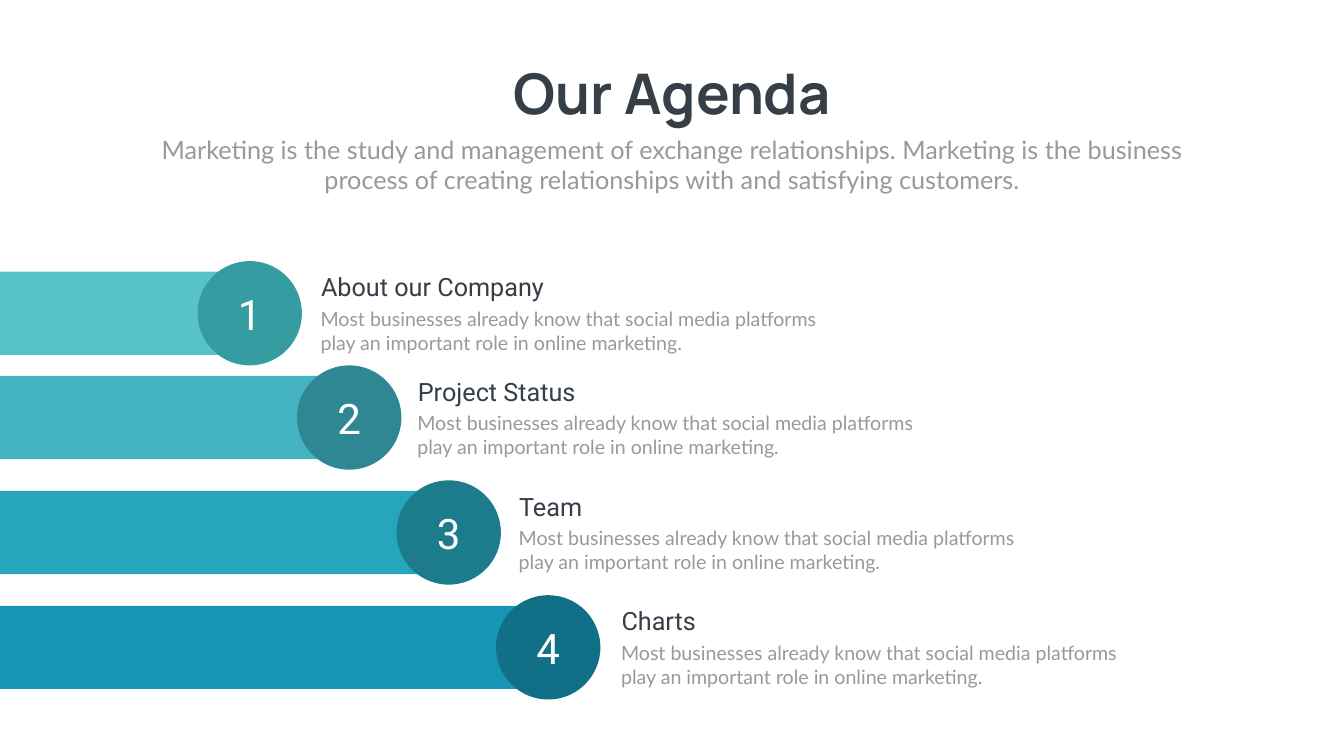
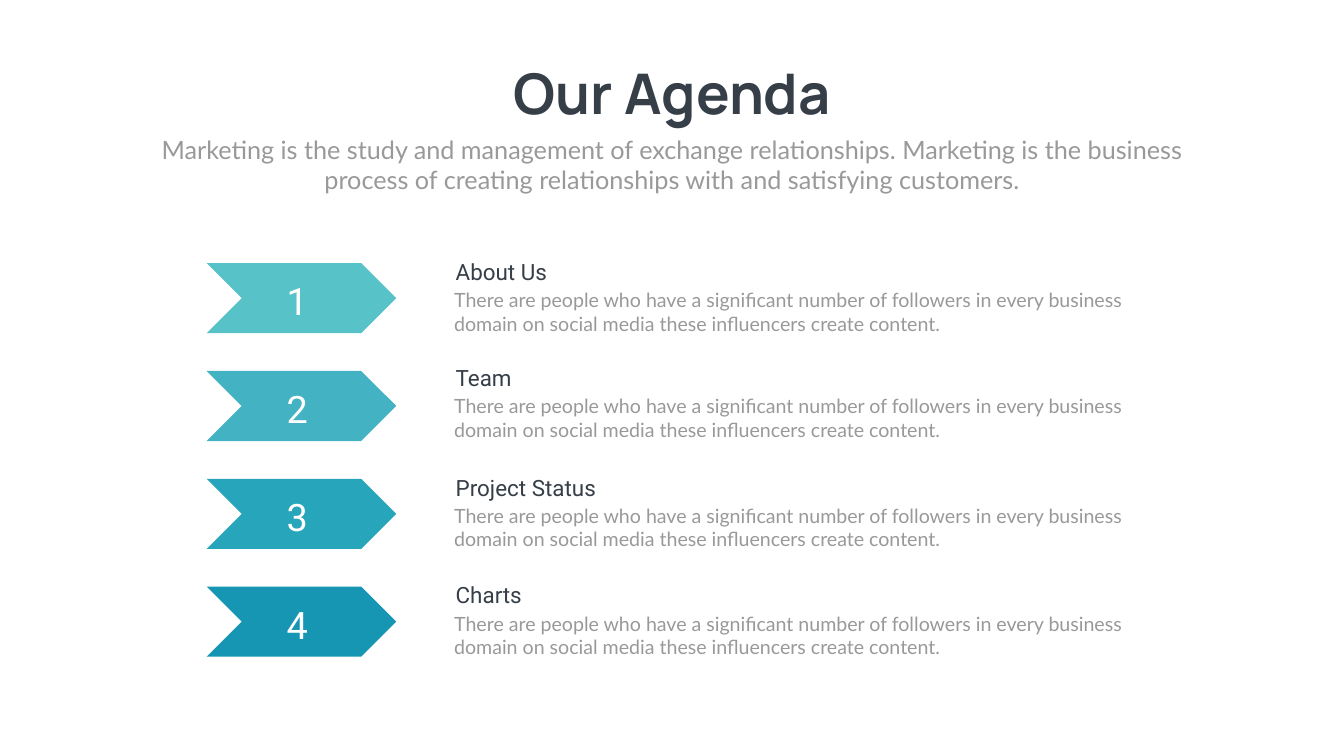
"""Build two agenda slides: stepped bars and a column of chevrons."""
from dataclasses import dataclass

from pptx import Presentation
from pptx.dml.color import RGBColor
from pptx.enum.shapes import MSO_SHAPE
from pptx.enum.text import MSO_ANCHOR, MSO_AUTO_SIZE, PP_ALIGN
from pptx.util import Pt

TITLE = "Our Agenda"
SUBTITLE = ("Marketing is the study and management of exchange relationships. "
            "Marketing is the business process of creating relationships "
            "with and satisfying customers.")

STEP_BODY = ("Most businesses already know that social media platforms "
             "play an important role in online marketing.")
STEPS = [
    {"heading": "About our Company", "top": 373, "text_left": 451.4, "width": 378},
    {"heading": "Project Status", "top": 522, "text_left": 589.7, "width": 257.8},
    {"heading": "Team", "top": 686.2, "text_left": 734.4, "width": 257.8},
    {"heading": "Charts", "top": 850.3, "text_left": 880.6, "width": 257.8},
]

CHEVRON_BODY = ("There are people who have a significant number of followers in "
                "every business domain on social media these influencers create content.")
CHEVRONS = [("About Us", 365), ("Team", 517), ("Project Status", 673.2), ("Charts", 827.3)]


@dataclass(frozen=True)
class Style:
    font: str
    size: float
    color: str
    bold: bool = False


@dataclass(frozen=True)
class Theme:
    title: Style = Style("Manrope", 80, "363E48", True)
    subtitle: Style = Style("Lato", 36, "999999")
    body: Style = Style("Lato", 28, "999999")
    step_heading: Style = Style("Roboto", 36, "363E48")
    step_number: Style = Style("Roboto", 60, "FFFFFF")
    chevron_heading: Style = Style("Roboto", 32, "363E48")
    chevron_number: Style = Style("Roboto", 54, "FFFFFF")
    bands: tuple = ("57C3C8", "43B2C2", "26A5BB", "1796B4")
    circles: tuple = ("359DA2", "308794", "1C7C8C", "117087")


THEME = Theme()


def write(frame, words, style, align):
    paragraph = frame.paragraphs[0]
    paragraph.text = words
    paragraph.alignment = align
    font = paragraph.font
    font.name, font.size, font.bold = style.font, Pt(style.size), style.bold
    font.color.rgb = RGBColor.from_string(style.color)


def add_text(slide, box, words, style, align=PP_ALIGN.LEFT, wrap=True):
    frame = slide.shapes.add_textbox(*map(Pt, box)).text_frame
    frame.word_wrap = wrap
    frame.auto_size = MSO_AUTO_SIZE.SHAPE_TO_FIT_TEXT
    write(frame, words, style, align)


def add_block(slide, kind, box, color):
    block = slide.shapes.add_shape(kind, *map(Pt, box))
    block.shadow.inherit = False
    block.fill.solid()
    block.fill.fore_color.rgb = RGBColor.from_string(color)
    block.line.fill.background()
    return block


def add_agenda_slide(deck):
    slide = deck.slides.add_slide(deck.slide_layouts[6])
    add_text(slide, (704.2, 80.6, 511.9, 104.4), TITLE, THEME.title, PP_ALIGN.CENTER, wrap=False)
    add_text(slide, (210.2, 187.9, 1499, 94.3), SUBTITLE, THEME.subtitle, PP_ALIGN.CENTER)
    return slide


def build_steps(deck):
    slide = add_agenda_slide(deck)
    diameter, bar_height = 149, 118.8
    for index, step in enumerate(STEPS):
        top, text_left = step["top"], step["text_left"]
        circle_left = 282.2 + 142.1 * index
        bar_top = top + (diameter - bar_height) / 2
        add_block(slide, MSO_SHAPE.RECTANGLE,
                  (0, bar_top, circle_left + 80.6, bar_height), THEME.bands[index])
        circle = add_block(slide, MSO_SHAPE.OVAL,
                           (circle_left, top, diameter, diameter), THEME.circles[index])
        circle.text_frame.vertical_anchor = MSO_ANCHOR.MIDDLE
        write(circle.text_frame, str(index + 1), THEME.step_number, PP_ALIGN.CENTER)
        add_text(slide, (text_left - 0.7, top + 62.2, 759.6, 74.9), STEP_BODY, THEME.body)
        add_text(slide, (text_left, top + 11.5, step["width"], 51.1),
                 step["heading"], THEME.step_heading)


def build_chevrons(deck):
    slide = add_agenda_slide(deck)
    for index, (heading, heading_top) in enumerate(CHEVRONS):
        top = 375.8 + 154.1 * index
        add_block(slide, MSO_SHAPE.CHEVRON, (295.2, top, 270.7, 100.1), THEME.bands[index])
        add_text(slide, (334.1, top + 17.3, 180.7, 72.7), str(index + 1),
                 THEME.chevron_number, PP_ALIGN.CENTER)
        add_text(slide, (643.7, heading_top, 385.2, 46.1), heading, THEME.chevron_heading)
        add_text(slide, (641.5, heading_top + 42.8, 982.8, 74.9), CHEVRON_BODY, THEME.body)


def main():
    deck = Presentation()
    deck.slide_width, deck.slide_height = Pt(1919.52), Pt(1080)
    build_steps(deck)
    build_chevrons(deck)
    deck.save("out.pptx")


if __name__ == "__main__":
    main()
